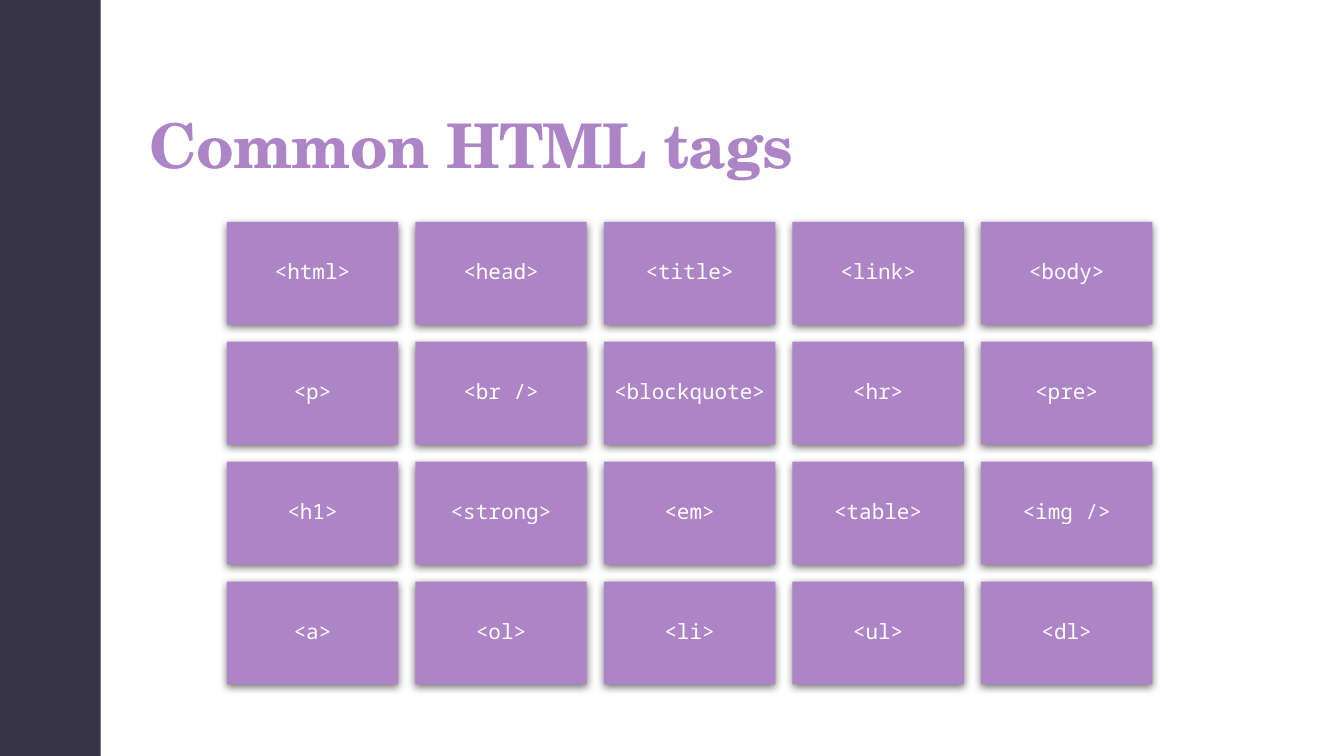
"""Build the slide of common HTML tags."""
from lxml import etree
from pptx import Presentation
from pptx import util as u
from pptx.dml.color import RGBColor
from pptx.enum import shapes, text
from pptx.oxml import ns

PURPLE, DARK, WHITE = "AD84C6", "373545", "FFFFFF"
TAG_ROWS = [
    ["<html>", "<head>", "<title>", "<link>", "<body>"],
    ["<p>", "<br />", "<blockquote>", "<hr>", "<pre>"],
    ["<h1>", "<strong>", "<em>", "<table>", "<img />"],
    ["<a>", "<ol>", "<li>", "<ul>", "<dl>"],
]
TITLE_FONT = {"name": "TeX Gyre Schola", "size": u.Pt(44), "bold": True}
TAG_FONT = {"name": "Noto Sans Mono", "size": u.Pt(15)}


def color(value):
    """Turn a hex string into a colour."""
    return RGBColor.from_string(value)


def set_all(target, values):
    """Set every attribute in values on the target."""
    for name, value in values.items():
        setattr(target, name, value)


def add_block(page, left, top, width, height, fill):
    """Add a plain filled rectangle."""
    block = page.shapes.add_shape(
        shapes.MSO_SHAPE.RECTANGLE,
        u.Inches(left), u.Inches(top), u.Inches(width), u.Inches(height))
    block.shadow.inherit = False
    block.fill.solid()
    block.fill.fore_color.rgb = color(fill)
    block.line.fill.background()
    return block


def add_shadow(shape):
    """Give a shape a soft shadow that falls downwards."""
    effects = shape.element.spPr.find(ns.qn("a:effectLst"))
    shadow = etree.SubElement(
        effects, ns.qn("a:outerShdw"), blurRad=str(u.Pt(6)), dist=str(u.Pt(2)),
        dir="5400000", algn="ctr", rotWithShape="0")
    shade = etree.SubElement(shadow, ns.qn("a:srgbClr"), val="000000")
    etree.SubElement(shade, ns.qn("a:alpha"), val="55000")


def write(shape, words, font, ink, frame, align):
    """Write one styled line into a shape."""
    set_all(shape.text_frame, {"word_wrap": True, **frame})
    para = shape.text_frame.paragraphs[0]
    set_all(para, {"alignment": align, "line_spacing": 0.9})
    span = para.add_run()
    span.text = words
    set_all(span.font, font)
    span.font.color.rgb = color(ink)


def add_title(page, words):
    """Add the slide title with slightly tightened letters."""
    box = page.shapes.add_textbox(
        u.Inches(1.38), u.Inches(0.29), u.Inches(10.93), u.Inches(1.56))
    frame = {"vertical_anchor": text.MSO_ANCHOR.BOTTOM,
             "margin_top": u.Inches(0.03), "margin_bottom": u.Inches(0.05)}
    write(box, words, TITLE_FONT, PURPLE, frame, text.PP_ALIGN.LEFT)
    for properties in box.element.iter(ns.qn("a:rPr")):
        properties.set("spc", "-50")


def add_tag(page, left, top, words):
    """Add one shadowed tile holding a tag."""
    tile = add_block(page, left, top, 1.7, 1.02, PURPLE)
    add_shadow(tile)
    frame = {"margin_" + side: u.Inches(0.06)
             for side in ("left", "top", "right", "bottom")}
    frame["vertical_anchor"] = text.MSO_ANCHOR.MIDDLE
    write(tile, words, TAG_FONT, WHITE, frame, text.PP_ALIGN.CENTER)


def main():
    """Build and save the deck."""
    deck = Presentation()
    set_all(deck, {"slide_width": u.Inches(13.33), "slide_height": u.Inches(7.5)})
    page = deck.slides.add_slide(deck.slide_layouts[6])
    add_block(page, 0, 0, 1, 7.5, DARK)
    add_title(page, "Common HTML tags")
    for row, tags in enumerate(TAG_ROWS):
        for column, tag in enumerate(tags):
            add_tag(page, 2.25 + 1.87 * column, 2.2 + 1.19 * row, tag)
    deck.save("out.pptx")


if __name__ == "__main__":
    main()
